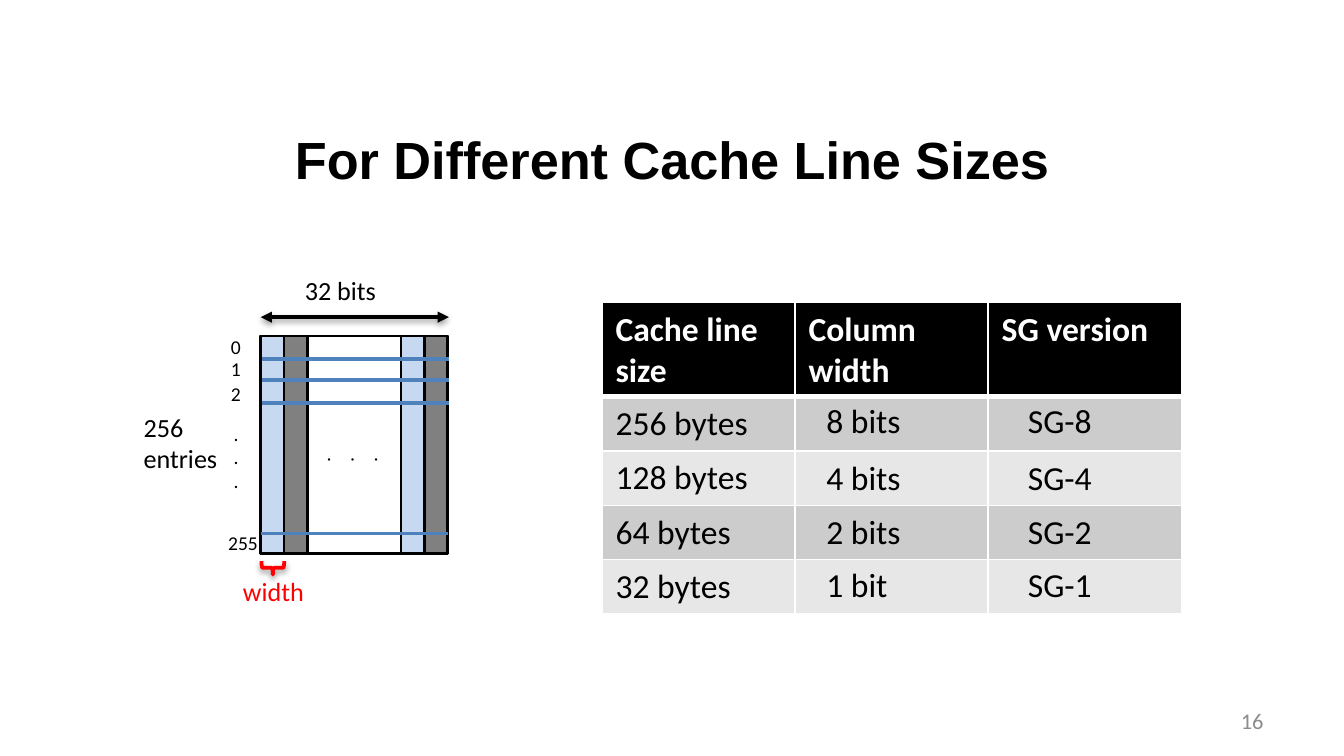
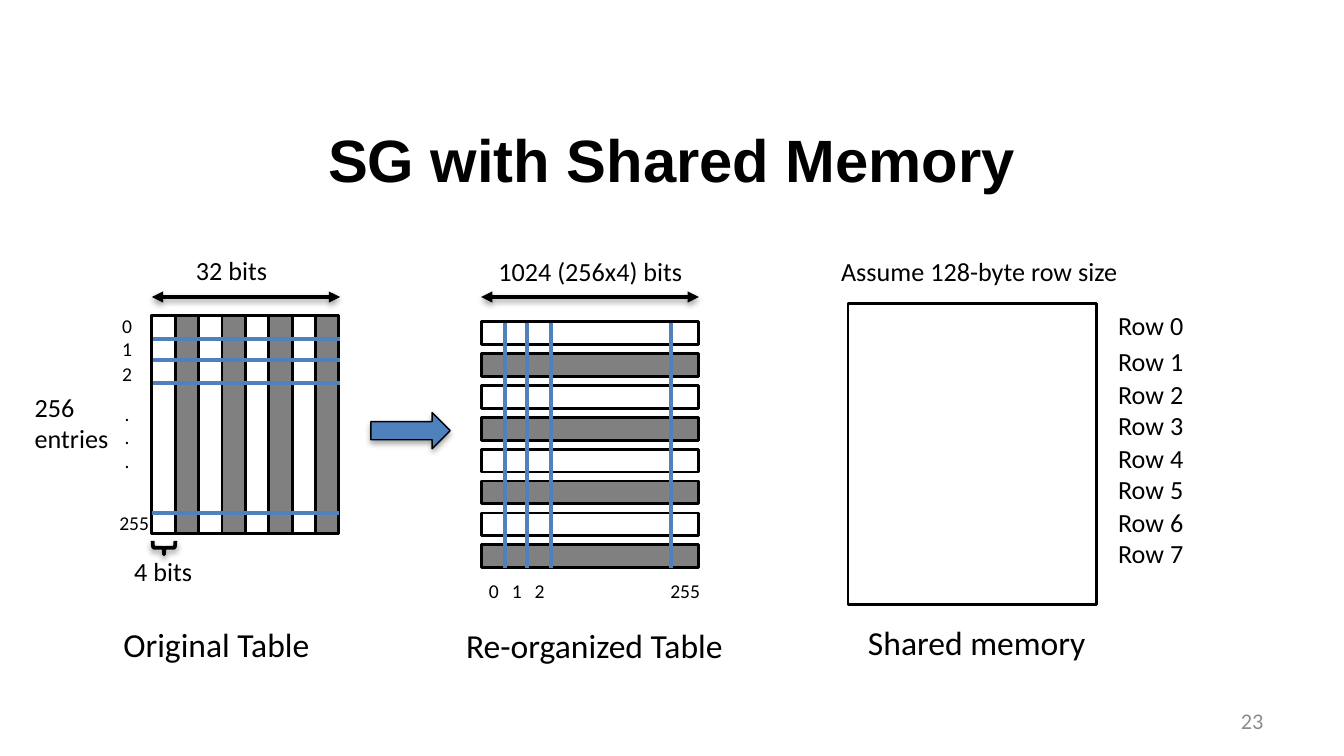
from dataclasses import dataclass

from lxml.etree import SubElement
from pptx import Presentation
from pptx.dml.color import RGBColor
from pptx.enum.shapes import MSO_CONNECTOR, MSO_SHAPE as SHAPE
from pptx.enum.text import MSO_ANCHOR as ANCHOR, MSO_AUTO_SIZE as AUTO, PP_ALIGN as ALIGN
from pptx.oxml.ns import qn
from pptx.util import Emu, Pt


@dataclass(frozen=True)
class Theme:
    black: str = "000000"
    white: str = "FFFFFF"
    gray: str = "808080"
    pale: str = "C6D9F1"
    blue: str = "4F81BD"
    red: str = "FF0000"
    number: str = "8C8C8C"
    bands: tuple = ("CCCCCC", "E7E7E7")
    title_font: str = "Arial"
    body_font: str = "Calibri"
    index: float = 10.5
    page: int = 12
    label: int = 14
    body: int = 18


T = Theme()
SCALE = 9144
WIDTH = 1000
HEIGHT = WIDTH * 9 / 16

LINE_SIZE_SLIDE = {"title": "For Different Cache Line Sizes", "size": 28, "number": "16"}
SHARED_SLIDE = {"title": "SG with Shared Memory", "size": 32, "number": "23"}

ENTRIES = ["256", "entries"]
DOTS = [".", ".", "."]
WIDE_COLUMNS = {0: T.pale, 1: T.gray, 6: T.pale, 7: T.gray}
NARROW_COLUMNS = {i: T.gray if i % 2 else None for i in range(8)}
ENTRY_LABELS = [("0", -32, -6), ("1", -32, 11), ("2", -32, 29), ("255", -34, 140)]
ENTRY_LINES = [(1, 17), (1, 33), (1, 50), (0, 147)]

HEADERS = ["Cache line size", "Column width", "SG version"]
VERSIONS = [
    ("256 bytes", "8 bits", "SG-8", 293),
    ("128 bytes", "4 bits", "SG-4", 335),
    ("64 bytes", "2 bits", "SG-2", 375),
    ("32 bytes", "1 bit", "SG-1", 415),
]

COLUMN_LINES = [376, 392, 410, 499]
COLUMN_LABELS = [("0", 354), ("1", 371), ("2", 388), ("255", 489)]
ROW_TOPS = [225, 252, 277, 300, 324, 347, 372, 395]
CAPTIONS = [
    ("Original Table", 82, 459, 244),
    ("Re-organized Table", 337, 460, 244),
    ("Shared memory", 636, 458, 202),
]


def px(n):
    return Emu(round(n * SCALE))


def box(*at):
    return [px(n) for n in at]


def rgb(color):
    return RGBColor.from_string(color)


def add_effects(s, alpha=0, dist=0):
    effects = s._element.spPr.find(qn("a:effectLst"))
    if effects is None:
        effects = SubElement(s._element.spPr, qn("a:effectLst"))
    if alpha:
        shadow = SubElement(effects, qn("a:outerShdw"), blurRad="40000", dist=str(dist),
                            dir="5400000", rotWithShape="0")
        color = SubElement(shadow, qn("a:srgbClr"), val=T.black)
        SubElement(color, qn("a:alpha"), val=str(alpha * 1000))


def style_font(p, size, color=T.black, font=T.body_font, bold=False):
    p.font.size, p.font.name, p.font.bold = Pt(size), font, bold
    p.font.color.rgb = rgb(color)


def add_text(slide, lines, at, size=T.label, color=T.black, font=T.body_font, bold=False,
             wrap=True, align=ALIGN.LEFT, anchor=ANCHOR.TOP, grow=True, tab=None):
    s = slide.shapes.add_textbox(*box(*at))
    tf = s.text_frame
    tf.word_wrap, tf.vertical_anchor = wrap, anchor
    tf.auto_size = AUTO.SHAPE_TO_FIT_TEXT if grow else AUTO.NONE
    tf.text = "\n".join(lines)
    for p in tf.paragraphs:
        p.alignment = align
        if tab:
            stops = SubElement(p._p.get_or_add_pPr(), qn("a:tabLst"))
            SubElement(stops, qn("a:tab"), pos=str(px(tab)), algn="l")
        style_font(p, size, color, font, bold)
    return s


def add_label(slide, text, x, y, w, color=T.black):
    return add_text(slide, [text], (x, y, w, 34), color=color, wrap=False)


def add_index(slide, text, x, y):
    return add_text(slide, [text], (x, y, 44, 29), T.index)


def add_figure(slide, kind, at, fill=None, line=T.black, width=1.5):
    s = slide.shapes.add_shape(kind, *box(*at))
    s.shadow.inherit = False
    if fill:
        s.fill.solid()
        s.fill.fore_color.rgb = rgb(fill)
    else:
        s.fill.background()
    s.line.color.rgb = rgb(line)
    s.line.width = Pt(width)
    return s


def add_line(slide, x1, y1, x2, y2, color=T.blue):
    s = slide.shapes.add_connector(MSO_CONNECTOR.STRAIGHT, *box(x1, y1, x2, y2))
    s.line.color.rgb = rgb(color)
    s.line.width = Pt(2)
    return s


def add_divider(slide, *ends):
    add_effects(add_line(slide, *ends))


def add_span(slide, x1, x2, y):
    s = add_line(slide, x1, y, x2, y, T.black)
    ln = s.line._get_or_add_ln()
    for end in ("a:headEnd", "a:tailEnd"):
        SubElement(ln, qn(end), type="triangle")
    add_effects(s, 38, 20000)


def add_bit_table(slide, x, y, columns, unit, unit_width, color, fill=None):
    add_figure(slide, SHAPE.RECTANGLE, (x, y, 139, 162), fill)
    for i, shade in columns.items():
        add_figure(slide, SHAPE.RECTANGLE, (x + 17.4 * i, y, 17.4, 162), shade)
    add_span(slide, x, x + 140, y - 14)
    add_label(slide, "32 bits", x + 23, y - 51, 74)
    brace = add_figure(slide, SHAPE.RIGHT_BRACE, (x + 4, y + 164, 10, 17), None, color, 2)
    brace.rotation = 90
    add_effects(brace, 38, 20000)
    add_label(slide, unit, x - 23, y + 173, unit_width, color)
    for dx, dy in ENTRY_LINES:
        add_divider(slide, x + dx, y + dy, x + dx + 139, y + dy)
    for text, dx, dy in ENTRY_LABELS:
        add_index(slide, text, x + dx, y + dy)
    add_text(slide, DOTS, (x - 30, y + 59, 44, 63), T.index)
    add_text(slide, ENTRIES, (x - 97, y + 51, 78, 57))


def style_cell(cell, text, fill, color, bold, bottom):
    tcPr = cell._tc.get_or_add_tcPr()
    for side, width in (("L", 1), ("R", 1), ("T", 1), ("B", bottom)):
        ln = SubElement(tcPr, qn("a:ln" + side), w=str(Pt(width)))
        SubElement(SubElement(ln, qn("a:solidFill")), qn("a:srgbClr"), val=T.white)
    cell.fill.solid()
    cell.fill.fore_color.rgb = rgb(fill)
    cell.text = text
    style_font(cell.text_frame.paragraphs[0], T.body, color, bold=bold)


def add_version_table(slide):
    rows = [HEADERS] + [(size, "", "") for size, *_ in VERSIONS]
    table = slide.shapes.add_table(len(rows), 3, *box(448, 225, 431, 231)).table
    for column in table.columns:
        column.width = px(431 / 3)
    for r, texts in enumerate(rows):
        head = r == 0
        table.rows[r].height = px(69 if head else 40.5)
        for c, text in enumerate(texts):
            style_cell(table.cell(r, c), text, T.black if head else T.bands[(r - 1) % 2],
                       T.white if head else T.black, head, 3 if head else 1)
    for _, width, version, y in VERSIONS:
        add_text(slide, [f"{width}\t{version}"], (605, y, 220, 40), T.body, wrap=False, tab=150)


def add_reorganized_table(slide):
    add_span(slide, 358, 520, 221)
    add_label(slide, "1024 (256x4) bits", 361, 185, 159)
    for i, shade in NARROW_COLUMNS.items():
        add_figure(slide, SHAPE.RECTANGLE, (358, 239.5 + 23.7 * i, 162, 17), shade)
    for x in COLUMN_LINES:
        add_divider(slide, x, 240, x, 423)
    for text, x in COLUMN_LABELS:
        add_index(slide, text, x, 426)


def add_shared_memory(slide):
    add_figure(slide, SHAPE.RECTANGLE, (631, 226, 185, 224))
    add_label(slide, "Assume 128-byte row size", 616, 185, 228)
    for i, y in enumerate(ROW_TOPS):
        add_label(slide, f"Row {i}", 822, y, 69)


def new_slide(prs, content):
    slide = prs.slides.add_slide(prs.slide_layouts[6])
    add_text(slide, [content["title"]], (50, 74, 900, 88), content["size"], font=T.title_font,
             bold=True, align=ALIGN.CENTER, anchor=ANCHOR.MIDDLE, grow=False)
    add_text(slide, [content["number"]], (717, 521, 233, 30), T.page, T.number,
             align=ALIGN.RIGHT, anchor=ANCHOR.MIDDLE, grow=False)
    return slide


def build_line_sizes(prs):
    slide = new_slide(prs, LINE_SIZE_SLIDE)
    add_bit_table(slide, 194, 250, WIDE_COLUMNS, "width", 66, T.red, T.white)
    add_text(slide, DOTS, (245, 321, 44, 63), T.index).rotation = 90
    add_version_table(slide)


def build_shared_memory(prs):
    slide = new_slide(prs, SHARED_SLIDE)
    add_bit_table(slide, 113, 235, NARROW_COLUMNS, "4 bits", 64, T.black)
    arrow = add_figure(slide, SHAPE.RIGHT_ARROW, (276, 307, 59, 27), T.blue, width=0.75)
    add_effects(arrow, 35, 23000)
    add_reorganized_table(slide)
    add_shared_memory(slide)
    for text, x, y, w in CAPTIONS:
        add_text(slide, [text], (x, y, w, 40), T.body)


def main():
    prs = Presentation()
    prs.slide_width, prs.slide_height = box(WIDTH, HEIGHT)
    build_line_sizes(prs)
    build_shared_memory(prs)
    prs.save("out.pptx")


if __name__ == "__main__":
    main()
